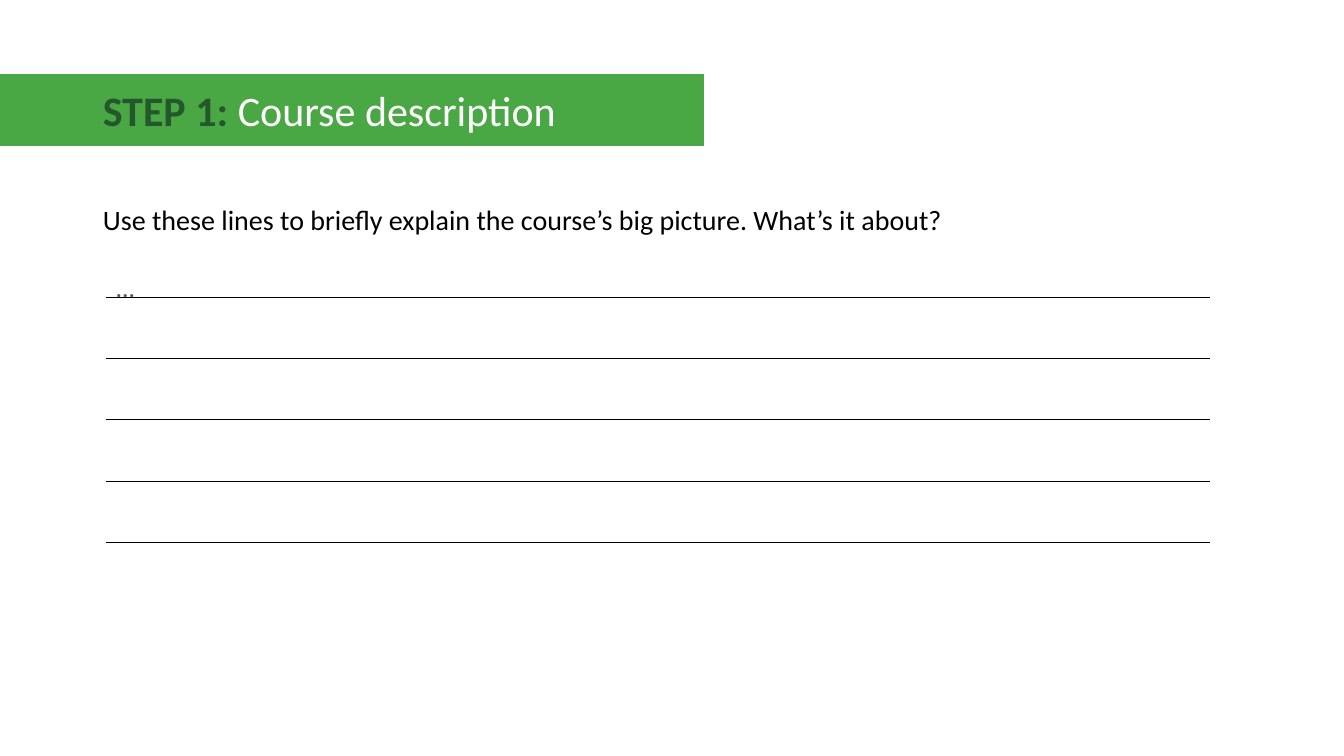
from lxml import etree
from pptx import Presentation
from pptx.dml.color import RGBColor
from pptx.enum.shapes import MSO_CONNECTOR, MSO_SHAPE
from pptx.enum.text import MSO_ANCHOR, MSO_AUTO_SIZE, PP_ALIGN
from pptx.oxml.ns import qn
from pptx.util import Pt

RECTANGLE = MSO_SHAPE.RECTANGLE
STRAIGHT = MSO_CONNECTOR.STRAIGHT
TOP, MIDDLE = MSO_ANCHOR.TOP, MSO_ANCHOR.MIDDLE
LEFT = PP_ALIGN.LEFT
NO_FIT, GROW = MSO_AUTO_SIZE.NONE, MSO_AUTO_SIZE.SHAPE_TO_FIT_TEXT

GREEN, DARK_GREEN, WHITE, BLACK, GREY = "49A843", "24572B", "FFFFFF", "000000", "595959"

# Runs: text, size, font, colour, bold
TITLE_RUNS = [
    ("STEP 1: ", 30, "Calibri", DARK_GREEN, True),
    ("Course description", 30, "Calibri", WHITE, False),
]
PROMPT_RUNS = [
    ("Use these lines to briefly explain the course’s big picture. What’s it about?",
     20, "Calibri", BLACK, False),
]
ANSWER_RUNS = [("…", 18, "Lato", GREY, False)]

# Boxes: left, top, width, height in points
BANNER_BOX = (-2.16, 52.56, 505.44, 52.56)
TITLE_BOX = (66.24, 28.8, 828, 104.4)
PROMPT_BOX = (66.24, 144, 828, 41.76)
ANSWER_BOX = (75.6, 169.2, 788.4, 94.32)

LINE_LEFT, LINE_RIGHT = 75.6, 864
FIRST_LINE, LAST_LINE, LINE_COUNT = 212.4, 387.36, 5


def color(hex_string):
    return RGBColor.from_string(hex_string)


def place(shape, box):
    shape.left, shape.top, shape.width, shape.height = (Pt(value) for value in box)


def write(shape, runs, anchor, fit, line_spacing, space_before=0):
    frame = shape.text_frame
    frame.word_wrap = True
    frame.auto_size = fit
    frame.vertical_anchor = anchor
    paragraph = frame.paragraphs[0]
    paragraph.alignment = LEFT
    paragraph.line_spacing = line_spacing
    paragraph.space_before = Pt(space_before)
    for text, size, font_name, font_color, bold in runs:
        run = paragraph.add_run()
        run.text = text
        run.font.size = Pt(size)
        run.font.name = font_name
        run.font.bold = bold
        run.font.color.rgb = color(font_color)
    return paragraph


def remove_bullet(paragraph):
    properties = paragraph._p.get_or_add_pPr()
    properties.set("marL", "0")
    properties.set("indent", "0")
    etree.SubElement(properties, qn("a:buNone"))


def add_writing_line(slide, y):
    line = slide.shapes.add_connector(STRAIGHT, Pt(LINE_LEFT), Pt(y), Pt(LINE_RIGHT), Pt(y))
    line.line.color.rgb = color(BLACK)
    line.line.width = Pt(0.5)
    etree.SubElement(line.element.spPr, qn("a:effectLst"))


def main():
    presentation = Presentation()
    presentation.slide_width, presentation.slide_height = Pt(960), Pt(540)
    slide = presentation.slides.add_slide(presentation.slide_layouts[1])
    title, prompt = slide.placeholders

    banner = slide.shapes.add_shape(RECTANGLE, *(Pt(value) for value in BANNER_BOX))
    banner.shadow.inherit = False
    banner.fill.solid()
    banner.fill.fore_color.rgb = color(GREEN)
    banner.line.color.rgb = color(WHITE)
    banner.line.width = Pt(1)
    title.element.addprevious(banner.element)  # banner lies behind the title

    place(title, TITLE_BOX)
    write(title, TITLE_RUNS, MIDDLE, NO_FIT, 0.9)
    place(prompt, PROMPT_BOX)
    remove_bullet(write(prompt, PROMPT_RUNS, TOP, NO_FIT, 0.9, space_before=10))

    line_gap = (LAST_LINE - FIRST_LINE) / (LINE_COUNT - 1)
    for index in range(LINE_COUNT):
        add_writing_line(slide, FIRST_LINE + index * line_gap)

    answer = slide.shapes.add_textbox(*(Pt(value) for value in ANSWER_BOX))
    write(answer, ANSWER_RUNS, TOP, GROW, 2.0)

    presentation.save("out.pptx")


if __name__ == "__main__":
    main()
